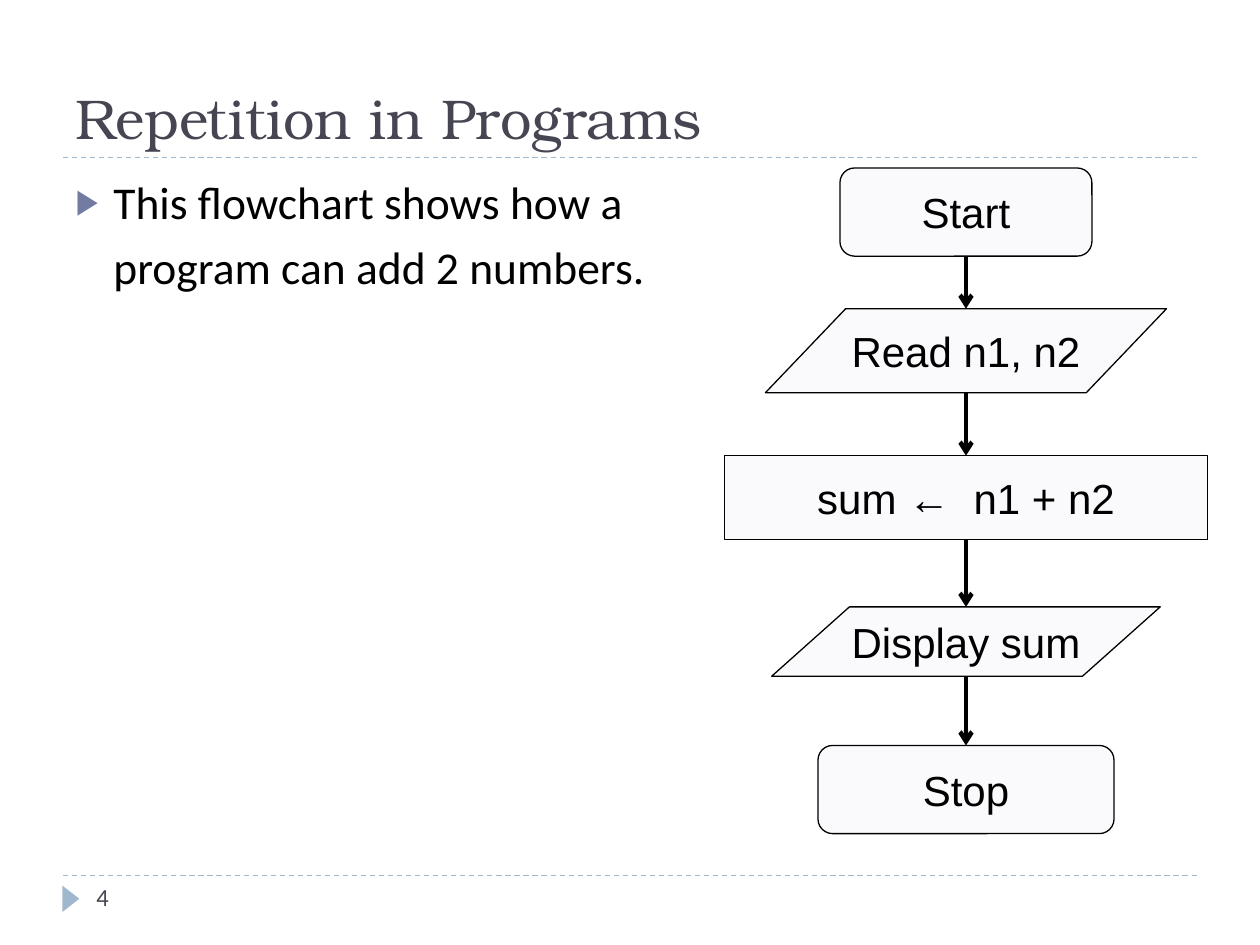
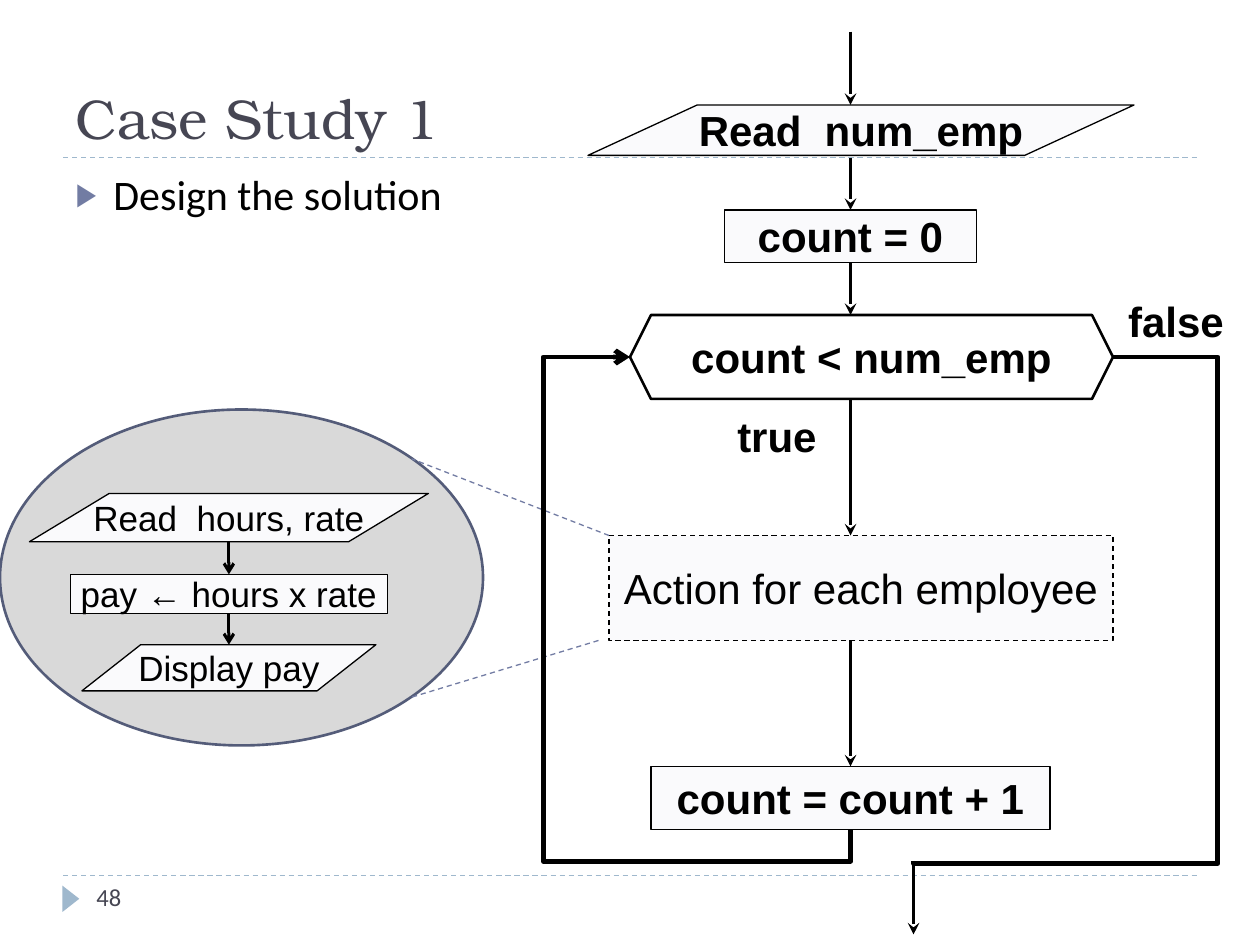
from lxml.etree import SubElement
from pptx import Presentation
from pptx.dml.color import RGBColor
from pptx.enum.dml import MSO_LINE
from pptx.enum.shapes import MSO_CONNECTOR as LINK, MSO_SHAPE as SHAPE
from pptx.enum.text import MSO_ANCHOR, MSO_AUTO_SIZE, PP_ALIGN
from pptx.oxml.ns import qn
from pptx.util import Inches, Pt

COLOURS = {name: RGBColor.from_string(value) for name, value in {
    "black": "000000", "title": "464653", "rule": "9FB8CD", "accent": "727CA3",
    "node": "FAFAFC", "callout": "D9D9D9", "callout edge": "545C79",
}.items()}
TITLE_FONT, BODY_FONT, NODE_FONT = "TeX Gyre Bonum", "Calibri", "Arial"

presentation = Presentation()
presentation.slide_width, presentation.slide_height = Inches(10), Inches(7.5)
CELL = presentation.slide_width // 120  # the slide is a grid of 120 columns by 90 rows


def add_node(slide, kind, box, text="", size=24, bold=False, fill="node",
             edge="black", weight=0.75):
    """Add a preset shape; box is left, top, width and height in cells."""
    shape = slide.shapes.add_shape(kind, *(round(CELL * length) for length in box))
    shape.shadow.inherit = False
    if fill:
        shape.fill.solid()
        shape.fill.fore_color.rgb = COLOURS[fill]
    else:
        shape.fill.background()
    if edge:
        shape.line.color.rgb = COLOURS[edge]
        shape.line.width = Pt(weight)
    else:
        shape.line.fill.background()
    if text:
        frame = shape.text_frame
        frame.word_wrap = False
        frame.vertical_anchor = MSO_ANCHOR.MIDDLE
        frame.text = text
        paragraph = frame.paragraphs[0]
        paragraph.alignment = PP_ALIGN.CENTER
        font = paragraph.runs[0].font
        font.name, font.size, font.bold = NODE_FONT, Pt(size), bold
        font.color.rgb = COLOURS["black"]
    return shape


def add_link(slide, start, end, weight=2.25, head="stealth", colour="black",
             dashed=False, kind=LINK.STRAIGHT):
    """Join two ends; each is a point in cells or a shape (left by its bottom, met at its top)."""
    points = [(0, 0) if hasattr(item, "shape_id") else item for item in (start, end)]
    connector = slide.shapes.add_connector(
        kind, *(round(CELL * value) for point in points for value in point))
    if hasattr(start, "shape_id"):
        connector.begin_connect(start, 2)
    if hasattr(end, "shape_id"):
        connector.end_connect(end, 0)
    connector.line.color.rgb = COLOURS[colour]
    connector.line.width = Pt(weight)
    if dashed:
        connector.line.dash_style = MSO_LINE.DASH
    properties = connector._element.spPr
    if head:
        SubElement(properties.find(qn("a:ln")), qn("a:tailEnd"), type=head)
    SubElement(properties, qn("a:effectLst"))
    return connector


# Title, list, rules and page number of both slides
slides = []
for title, lines, size, line_spacing, number in [
    ("Repetition in Programs",
     ["This flowchart shows how a", "program can add 2 numbers."], 26, 1.0, "4"),
    ("Case Study 1", ["Design the solution"], 24, 0.9, "48"),
]:
    slide = presentation.slides.add_slide(presentation.slide_layouts[1])
    slides.append(slide)
    heading, body = slide.placeholders
    for placeholder, top, height in [(heading, 2, 13), (body, 16, 65)]:
        placeholder.left, placeholder.top = CELL * 6, CELL * top
        placeholder.width, placeholder.height = CELL * 108, CELL * height
        placeholder.text_frame.auto_size = MSO_AUTO_SIZE.NONE

    heading.text_frame.text = title
    heading.text_frame.vertical_anchor = MSO_ANCHOR.BOTTOM
    paragraph = heading.text_frame.paragraphs[0]
    paragraph.alignment = PP_ALIGN.LEFT
    font = paragraph.runs[0].font
    font.name, font.size, font.color.rgb = TITLE_FONT, Pt(32), COLOURS["title"]

    body.text_frame.text = "\n".join(lines)
    for index, paragraph in enumerate(body.text_frame.paragraphs):
        properties = paragraph._p.get_or_add_pPr()
        properties.set("marL", str(Inches(0.3)))
        if index == 0:
            properties.set("indent", str(-Inches(0.3)))
            bullet_colour = SubElement(properties, qn("a:buClr"))
            SubElement(bullet_colour, qn("a:srgbClr"), val=str(COLOURS["accent"]))
            SubElement(properties, qn("a:buSzPct"), val="76000")
            SubElement(properties, qn("a:buChar"), char="▶")
        else:
            properties.set("indent", "0")
            SubElement(properties, qn("a:buNone"))
        paragraph.space_before = Pt(6 if index else 0)
        paragraph.line_spacing = line_spacing
        font = paragraph.runs[0].font
        font.name, font.size, font.color.rgb = BODY_FONT, Pt(size), COLOURS["black"]

    for row in (15, 83.4):
        add_link(slide, (6, row), (114, row), 0.75, None, "rule", dashed=True)
    marker = add_node(slide, SHAPE.ISOSCELES_TRIANGLE, (5.5, 84.8, 2.5, 1.6),
                      fill="rule", edge=None)
    marker.rotation = 90
    page = slide.shapes.add_textbox(CELL * 8, round(CELL * 83.4), CELL * 26, CELL * 5)
    page.text_frame.word_wrap = True
    page.text_frame.text = number
    font = page.text_frame.paragraphs[0].runs[0].font
    font.name, font.size, font.color.rgb = BODY_FONT, Pt(14), COLOURS["title"]

sum_slide, payroll_slide = slides

# Vertical flows: slide, centre column, text size, arrow weight, steps
ellipse = add_node(payroll_slide, SHAPE.OVAL, (0, 39, 46, 32), fill="callout",
                   edge="callout edge", weight=1.5)
DATA, PROCESS, ROUNDED = SHAPE.FLOWCHART_DATA, SHAPE.FLOWCHART_PROCESS, SHAPE.ROUNDED_RECTANGLE
for slide, centre, size, weight, steps in [
    (sum_slide, 92, 24, 2.5, [
        (ROUNDED, "Start", 16, 24, 8.4),
        (DATA, "Read n1, n2", 29.4, 38.2, 8),
        (PROCESS, "sum ←  n1 + n2", 43.4, 46, 8),
        (DATA, "Display sum", 57.8, 37, 6.6),
        (ROUNDED, "Stop", 71, 28.2, 8.4),
    ]),
    (payroll_slide, 21.8, 20, 1.75, [
        (DATA, "Read  hours, rate", 47, 38, 4.6),
        (PROCESS, "pay ← hours x rate", 54.7, 30.2, 3.7),
        (DATA, "Display pay", 61.4, 28, 4.4),
    ]),
]:
    previous = None
    for kind, text, top, width, height in steps:
        node = add_node(slide, kind, (centre - width / 2, top, width, height), text, size)
        is_data = kind == DATA
        if previous:
            add_link(slide, previous, (centre, top) if is_data else node, weight, "arrow")
        previous = (centre, top + height) if is_data else node

# Loop over the employees
add_node(payroll_slide, DATA, (56, 10, 52, 4.8), "Read  num_emp", bold=True)
set_count = add_node(payroll_slide, PROCESS, (69, 20, 24, 5), "count = 0", bold=True)
add_node(payroll_slide, SHAPE.HEXAGON, (60, 30, 46, 8), "count < num_emp",
         bold=True, fill=None, weight=1.5)
action = add_node(payroll_slide, PROCESS, (58, 51, 48, 10), "Action for each employee")
action.line.dash_style = MSO_LINE.DASH
add_count = add_node(payroll_slide, PROCESS, (62, 73, 38, 6), "count = count + 1", bold=True)
for text, box in [("false", (105, 28, 14, 5)), ("true", (62, 39, 24, 5))]:
    add_node(payroll_slide, PROCESS, box, text, bold=True, fill=None, edge=None)

FLOW = 81
for start, end in [
    ((FLOW, 3), (FLOW, 10)),
    ((FLOW, 15), set_count),
    (set_count, (FLOW, 30)),
    ((FLOW, 38), (FLOW, 51)),
    ((FLOW, 61), add_count),
    ((87, 82), (87, 89)),
]:
    add_link(payroll_slide, start, end)
for start, end in [((58, 51), (39.2, 43.7)), ((57, 61), (39.2, 66.4))]:
    add_link(payroll_slide, start, end, 0.75, None, "accent", dashed=True)

# The way back is given before its quarter turn, the way out as it lies
for start, end, head, turn, bends in [
    ((93, 46), (48, 67), "arrow", 90, (-6667, 139300)),
    ((106, 34), (87, 82), None, 0, (-52600, 100500)),
]:
    connector = add_link(payroll_slide, start, end, 2.75, head, kind=LINK.ELBOW)
    properties = connector._element.spPr
    properties.find(qn("a:xfrm")).set("rot", str(turn * 60000))
    geometry = properties.find(qn("a:prstGeom"))
    geometry.set("prst", "bentConnector4")
    for index, bend in enumerate(bends, 1):
        SubElement(geometry.find(qn("a:avLst")), qn("a:gd"),
                   name=f"adj{index}", fmla=f"val {bend}")

presentation.save("out.pptx")
